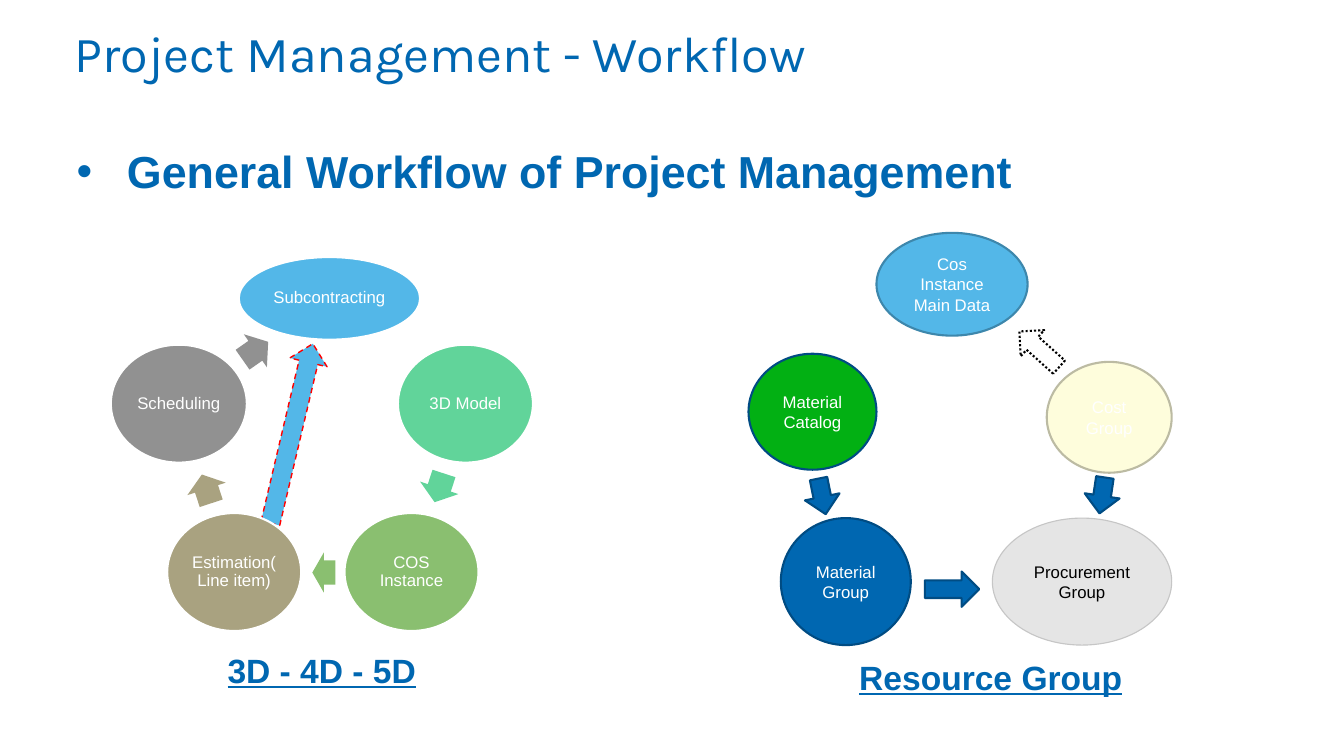
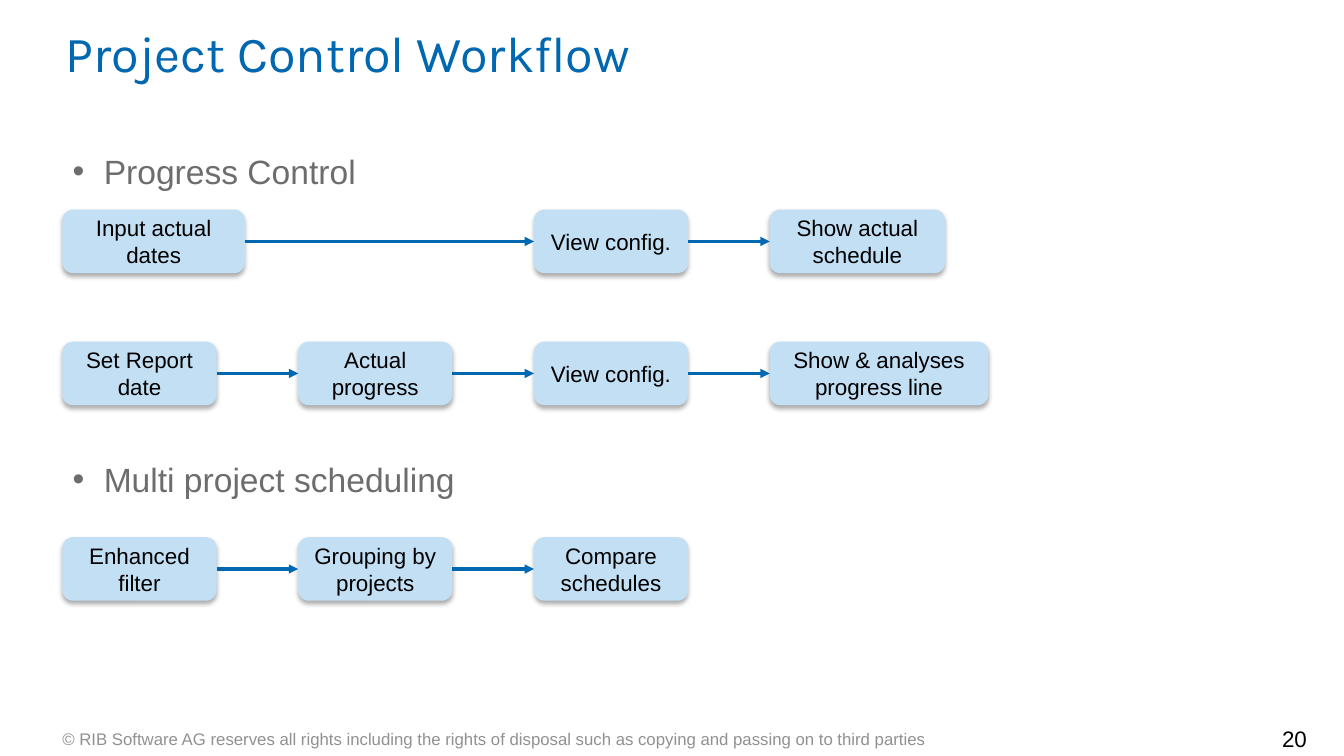
from dataclasses import dataclass
from itertools import pairwise

from lxml.etree import SubElement
from pptx import Presentation
from pptx.dml.color import RGBColor
from pptx.enum.dml import MSO_LINE
from pptx.enum.shapes import MSO_CONNECTOR, MSO_SHAPE
from pptx.enum.text import MSO_ANCHOR, MSO_AUTO_SIZE, PP_ALIGN
from pptx.oxml.ns import qn
from pptx.shapes.autoshape import Shape
from pptx.slide import Slide
from pptx.util import Emu, Pt

EMU_PER_PX = 9144  # 100 px to the inch
COLORS = {
    "white": "FFFFFF", "black": "000000", "blue": "0067B1", "navy": "004C83",
    "sky": "53B7E8", "steel": "3D87AC", "mint": "61D49A", "leaf": "8ABF70",
    "olive": "A9A280", "gray": "919191", "dark gray": "6D6D6D", "red": "FF0000",
    "cream": "FEFDDC", "khaki": "BCBBA3", "pale gray": "E5E5E5",
    "silver": "C6C6C6", "green": "02B013", "pale blue": "C3DFF4",
}
TITLE_TOP, TITLE_HEIGHT = -10, 123
STEP_LEFT, STEP_PITCH, STEP_HEIGHT = 62, 234, 63
PLAIN_INSETS = (10, 5)
WIDE_INSETS = (13, 7)
TIGHT_INSETS = (2, 2)

Area = tuple[int, int, int, int]


@dataclass(frozen=True)
class Oval:
    text: str
    area: Area
    fill: str
    outline: str = "white"
    outline_width: float = 1.5
    color: str = "white"


@dataclass(frozen=True)
class BlockArrow:
    area: Area
    angle: float
    fill: str
    outline: str | None = None
    outline_width: float = 1.5
    dash: MSO_LINE | None = None
    shaft: float = 0.5


@dataclass(frozen=True)
class Cycle:
    ovals: list[Oval]
    arrows: list[BlockArrow]
    caption: str
    caption_area: Area
    insets: tuple[int, int] = PLAIN_INSETS
    line_spacing: float = 1.0


@dataclass(frozen=True)
class Step:
    text: str
    column: int
    width: int = 153


@dataclass(frozen=True)
class Flow:
    top: int
    steps: list[Step]


DIMENSIONS = Cycle(
    ovals=[
        Oval("Subcontracting", (237, 255, 180, 82), "sky"),
        Oval("3D Model", (395, 342, 134, 117), "mint"),
        Oval("COS Instance", (342, 509, 133, 117), "leaf"),
        Oval("Estimation(Line item)", (166, 509, 133, 117), "olive"),
        Oval("Scheduling", (110, 342, 135, 117), "gray"),
    ],
    arrows=[
        BlockArrow((198, 411, 183, 38), 283.3, "sky", "red", 1, MSO_LINE.DASH),
        BlockArrow((421, 464, 30, 40), 108, "mint", shaft=0.6),
        BlockArrow((310, 548, 23, 40), 180, "leaf", shaft=0.6),
        BlockArrow((190, 465, 30, 40), 252, "olive", shaft=0.6),
        BlockArrow((238, 328, 31, 40), 325, "gray", shaft=0.6),
    ],
    caption="3D - 4D - 5D",
    caption_area=(216, 640, 209, 51),
    insets=TIGHT_INSETS,
    line_spacing=0.9,
)
RESOURCES = Cycle(
    ovals=[
        Oval("Cos Instance Main Data", (870, 231, 150, 102), "sky", "steel"),
        Oval("Cost Group", (1039, 359, 124, 110), "cream", "khaki"),
        Oval("Procurement Group", (985, 514, 178, 126), "pale gray", "silver", 0.79, "black"),
        Oval("Material Group", (775, 514, 129, 126), "blue", "navy"),
        Oval("Material Catalog", (743, 351, 127, 115), "green", "navy"),
    ],
    arrows=[
        BlockArrow((918, 567, 54, 35), 0, "blue", "navy"),
        BlockArrow((1076, 474, 36, 35), 98.5, "blue", "navy"),
        BlockArrow((798, 475, 36, 35), 78.6, "blue", "navy"),
        BlockArrow((1005, 329, 53, 35), 222, "white", "black", dash=MSO_LINE.ROUND_DOT),
    ],
    caption="Resource Group",
    caption_area=(843, 647, 284, 51),
)
FLOWS = [
    Flow(208, [Step("Input actual dates", 0, 181), Step("View config.", 2),
               Step("Show actual schedule", 3, 174)]),
    Flow(339, [Step("Set Report date", 0), Step("Actual progress", 1),
               Step("View config.", 2), Step("Show & analyses progress line", 3, 217)]),
    Flow(533, [Step("Enhanced filter", 0), Step("Grouping by projects", 1),
               Step("Compare schedules", 2)]),
]


def px(length: int) -> Emu:
    return Emu(length * EMU_PER_PX)


def rgb(name: str) -> RGBColor:
    return RGBColor.from_string(COLORS[name])


def place(box: Shape, area: Area) -> None:
    box.left, box.top, box.width, box.height = map(px, area)


def write(box: Shape, text: str, *, size: int, color: str, font: str = "Arial",
          bold: bool = False, underline: bool = False, align: PP_ALIGN = PP_ALIGN.LEFT,
          anchor: MSO_ANCHOR = MSO_ANCHOR.TOP, insets: tuple[int, int] = PLAIN_INSETS,
          wrap: bool = True, line_spacing: float = 1.0, bullet_indent: int = 0) -> None:
    frame = box.text_frame
    frame.auto_size = MSO_AUTO_SIZE.NONE
    frame.word_wrap = wrap
    frame.vertical_anchor = anchor
    frame.margin_left = frame.margin_right = px(insets[0])
    frame.margin_top = frame.margin_bottom = px(insets[1])
    para = frame.paragraphs[0]
    if bullet_indent:
        add_bullet(para, bullet_indent, color)
    para.alignment = align
    para.space_before = Pt(0)
    para.line_spacing = line_spacing
    span = para.add_run()
    span.text = text
    span.font.name = font
    span.font.size = Pt(size)
    span.font.bold = bold
    span.font.underline = underline
    span.font.color.rgb = rgb(color)


def add_bullet(para, indent: int, color: str) -> None:
    properties = para._p.get_or_add_pPr()
    properties.set("marL", str(px(indent)))
    properties.set("indent", str(px(-indent)))
    bullet_color = SubElement(properties, qn("a:buClr"))
    SubElement(bullet_color, qn("a:srgbClr"), val=COLORS[color])
    SubElement(properties, qn("a:buFont"), typeface="Arial")
    SubElement(properties, qn("a:buChar"), char="•")


def set_title(page: Slide, text: str, left: int, width: int) -> None:
    title = page.shapes.title
    place(title, (left, TITLE_TOP, width, TITLE_HEIGHT))
    write(title, text, size=36, color="blue", font="Karla",
          anchor=MSO_ANCHOR.MIDDLE, insets=WIDE_INSETS)


def add_label(page: Slide, text: str, area: Area, **text_format) -> None:
    write(page.shapes.add_textbox(*map(px, area)), text, **text_format)


def add_filled(page: Slide, preset: MSO_SHAPE, area: Area, fill: str,
               outline: str | None = None, outline_width: float = 1.5) -> Shape:
    shape = page.shapes.add_shape(preset, *map(px, area))
    shape.shadow.inherit = False
    shape.fill.solid()
    shape.fill.fore_color.rgb = rgb(fill)
    if outline:
        shape.line.color.rgb = rgb(outline)
        shape.line.width = Pt(outline_width)
    else:
        shape.line.fill.background()
    return shape


def add_block_arrow(page: Slide, arrow: BlockArrow) -> None:
    shape = add_filled(page, MSO_SHAPE.RIGHT_ARROW, arrow.area, arrow.fill,
                       arrow.outline, arrow.outline_width)
    shape.rotation = arrow.angle
    shape.adjustments[0] = arrow.shaft
    if arrow.dash:
        shape.line.dash_style = arrow.dash


def add_cycle(page: Slide, cycle: Cycle) -> None:
    for arrow in cycle.arrows:
        add_block_arrow(page, arrow)
    for oval in cycle.ovals:
        shape = add_filled(page, MSO_SHAPE.OVAL, oval.area, oval.fill,
                           oval.outline, oval.outline_width)
        write(shape, oval.text, size=12, color=oval.color, align=PP_ALIGN.CENTER,
              anchor=MSO_ANCHOR.MIDDLE, insets=cycle.insets,
              line_spacing=cycle.line_spacing)
    add_label(page, cycle.caption, cycle.caption_area, size=24, color="blue",
              bold=True, underline=True, wrap=False)


def add_drop_shadow(shape: Shape) -> None:
    effects = shape.element.spPr.find(qn("a:effectLst"))
    shadow = SubElement(effects, qn("a:outerShdw"), blurRad=str(Pt(3.5)),
                        dist=str(Pt(2.2)), dir="5400000", algn="t", rotWithShape="0")
    color = SubElement(shadow, qn("a:srgbClr"), val=COLORS["black"])
    SubElement(color, qn("a:alpha"), val="32000")


def add_step(page: Slide, step: Step, top: int) -> Shape:
    area = (STEP_LEFT + STEP_PITCH * step.column, top, step.width, STEP_HEIGHT)
    box = add_filled(page, MSO_SHAPE.ROUNDED_RECTANGLE, area, "pale blue")
    add_drop_shadow(box)
    write(box, step.text, size=16, color="black", align=PP_ALIGN.CENTER,
          anchor=MSO_ANCHOR.MIDDLE)
    return box


def connect(page: Slide, source: Shape, target: Shape) -> None:
    """Join the right side of one step to the left side of the next."""
    connector = page.shapes.add_connector(MSO_CONNECTOR.STRAIGHT, 0, 0, 0, 0)
    connector.begin_connect(source, 3)
    connector.end_connect(target, 1)
    connector.line.color.rgb = rgb("blue")
    connector.line.width = Pt(2.25)
    properties = connector.element.spPr
    SubElement(properties.find(qn("a:ln")), qn("a:tailEnd"), type="triangle")
    SubElement(properties, qn("a:effectLst"))


def add_flow(page: Slide, flow: Flow) -> None:
    boxes = [add_step(page, step, flow.top) for step in flow.steps]
    for source, target in pairwise(boxes):
        connect(page, source, target)


def build_management_page(deck) -> None:
    page = deck.slides.add_slide(deck.slide_layouts[1])
    set_title(page, "Project Management - Workflow", 61, 1200)
    body = page.placeholders[1]
    place(body, (63, 136, 1092, 138))
    write(body, "General Workflow of Project Management", size=32, color="blue",
          bold=True, insets=WIDE_INSETS, bullet_indent=50)
    for cycle in (DIMENSIONS, RESOURCES):
        add_cycle(page, cycle)


def build_control_page(deck) -> None:
    page = deck.slides.add_slide(deck.slide_layouts[3])
    set_title(page, "Project Control Workflow", 52, 641)
    headings = [("Progress Control", (62, 145, 305, 51)),
                ("Multi project scheduling", (62, 450, 404, 51))]
    for index, (text, area) in enumerate(headings, start=1):
        body = page.placeholders[index]
        place(body, area)
        write(body, text, size=24, color="dark gray", wrap=False, bullet_indent=31)
    for flow in FLOWS:
        add_flow(page, flow)
    add_label(page, "© RIB Software AG reserves all rights including the rights of "
              "disposal such as copying and passing on to third parties",
              (52, 718, 1247, 39), size=12, color="gray")
    add_label(page, "20", (1169, 714, 138, 36), size=16, color="black",
              align=PP_ALIGN.RIGHT)


def main() -> None:
    deck = Presentation()
    deck.slide_width, deck.slide_height = px(1334), px(750)
    build_management_page(deck)
    build_control_page(deck)
    deck.save("out.pptx")


if __name__ == "__main__":
    main()
